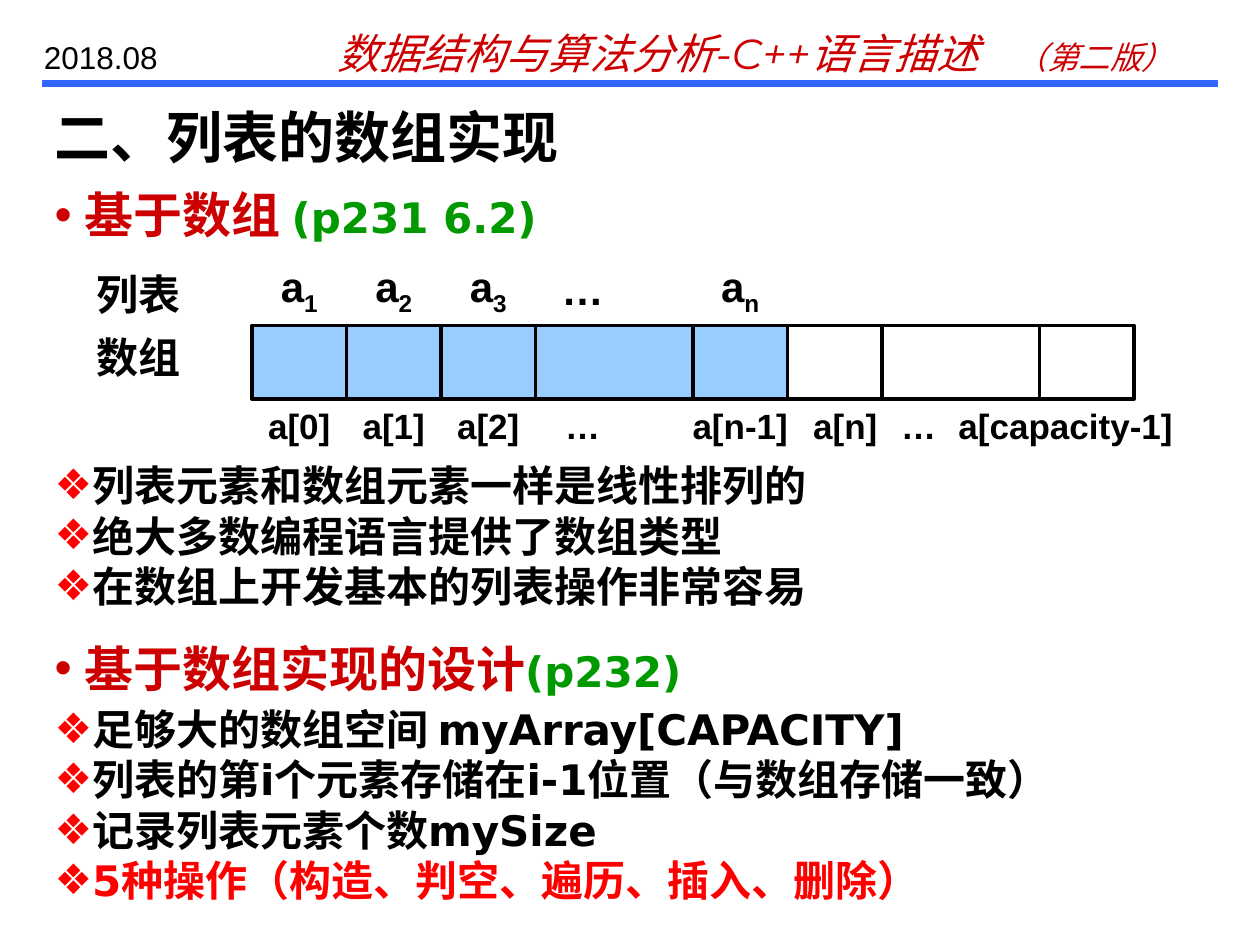
from itertools import accumulate

from lxml.etree import SubElement
from pptx import Presentation
from pptx.dml.color import RGBColor
from pptx.enum.shapes import MSO_CONNECTOR, MSO_SHAPE
from pptx.enum.text import MSO_ANCHOR, MSO_AUTO_SIZE, PP_ALIGN
from pptx.oxml.ns import qn
from pptx.util import Inches, Pt

COLORS = {
    "rule": "3366FF", "heading": "CC0000", "page": "009900",
    "bullet": "FF0000", "text": "000000", "used": "99CCFF",
}
LIST_FONT = "DejaVu Sans"

# Array cells: label above (base, subscript), width in grid units, in use or not
CELLS = [
    (("a", "1"), 9, True), (("a", "2"), 9, True), (("a", "3"), 9, True),
    (("…", ""), 15, True), (("a", "n"), 9, True),
    (None, 9, False), (None, 15, False), (None, 9, False),
]
CELL_LEFT, CELL_TOP, CELL_HEIGHT, LABEL_WIDTH = 24, 31, 7, 9

# Index labels below the array: text, left edge and width in grid units
INDEXES = [("a[0]", 24, LABEL_WIDTH), ("a[1]", 33, LABEL_WIDTH),
           ("a[2]", 42, LABEL_WIDTH), ("…", 51, LABEL_WIDTH),
           ("a[n-1]", 64, 13), ("a[n]", 76, LABEL_WIDTH),
           ("…", 83, LABEL_WIDTH), ("a[capacity-1]", 89, 25)]


def grid(*units):
    """Lengths on a grid of twelve units to the inch."""
    return [Inches(unit / 12) for unit in units]


def color(name):
    return RGBColor.from_string(COLORS[name])


def add_run(paragraph, text, size, color_name="text", font="Arial", bold=True):
    run = paragraph.add_run()
    run.text = text
    run.font.size = Pt(size)
    run.font.name = font
    run.font.bold = bold
    run.font.color.rgb = color(color_name)
    return run


def add_text_box(slide, *box):
    frame = slide.shapes.add_textbox(*grid(*box)).text_frame
    frame.word_wrap = True
    return frame


def add_label(slide, left, top, width, text, size, subscript=""):
    """Centred label on one line."""
    frame = add_text_box(slide, left, top, width, CELL_HEIGHT)
    frame.vertical_anchor = MSO_ANCHOR.MIDDLE
    paragraph = frame.paragraphs[0]
    paragraph.alignment = PP_ALIGN.CENTER
    add_run(paragraph, text, size)
    if subscript:
        run = add_run(paragraph, subscript, size)
        run._r.get_or_add_rPr().set("baseline", "-25000")


def set_bullet(paragraph, character, color_name, indent):
    paragraph.space_before = Pt(0)
    properties = paragraph._p.get_or_add_pPr()
    properties.set("marL", str(Inches(indent)))
    properties.set("indent", str(-Inches(indent)))
    bullet_color = SubElement(properties, qn("a:buClr"))
    SubElement(bullet_color, qn("a:srgbClr")).set("val", COLORS[color_name])
    SubElement(properties, qn("a:buChar")).set("char", character)


def place(placeholder, *box):
    placeholder.left, placeholder.top, placeholder.width, placeholder.height = grid(*box)
    frame = placeholder.text_frame
    frame.auto_size = MSO_AUTO_SIZE.NONE
    return frame


def fill_heading(placeholder, top, text, page):
    frame = place(placeholder, 4, top, 113, 6.8)
    frame.vertical_anchor = MSO_ANCHOR.TOP
    paragraph = frame.paragraphs[0]
    set_bullet(paragraph, "•", "heading", 0.24)
    add_run(paragraph, text, 28, "heading", LIST_FONT)
    add_run(paragraph, page, 24, "page", LIST_FONT)


def fill_list(placeholder, top, height, items):
    frame = place(placeholder, 4, top, 113, height)
    frame.vertical_anchor = MSO_ANCHOR.TOP
    for number, (text, color_name) in enumerate(items):
        paragraph = frame.add_paragraph() if number else frame.paragraphs[0]
        set_bullet(paragraph, "❖", "bullet", 0.29)
        add_run(paragraph, text, 24, color_name, LIST_FONT)


def add_header(slide):
    line = slide.shapes.add_connector(MSO_CONNECTOR.STRAIGHT, *grid(4, 8, 116, 8))
    line.line.color.rgb = color("rule")
    line.line.width = Pt(4)
    SubElement(line._element.spPr, qn("a:effectLst"))

    # Book title, with the edition at a tab stop
    paragraph = add_text_box(slide, 31, 2, 84, 6).paragraphs[0]
    tabs = SubElement(paragraph._p.get_or_add_pPr(), qn("a:tabLst"))
    tab = SubElement(tabs, qn("a:tab"))
    tab.set("pos", str(Inches(5.38)))
    tab.set("algn", "l")
    for text, size in (("数据结构与算法分析-C++语言描述\t", 24), ("（第二版）", 18)):
        run = add_run(paragraph, text, size, "heading", "Montserrat", False)
        run.font.italic = True

    date = add_text_box(slide, 3, 3, 17, 4.8).paragraphs[0]
    add_run(date, "2018.08", 18, bold=False)


def add_array(slide):
    lefts = accumulate((width for _, width, _ in CELLS), initial=CELL_LEFT)
    for left, (label, width, used) in zip(lefts, CELLS):
        cell = slide.shapes.add_shape(
            MSO_SHAPE.RECTANGLE, *grid(left, CELL_TOP, width, CELL_HEIGHT))
        cell.shadow.inherit = False
        cell.line.color.rgb = color("text")
        cell.line.width = Pt(2)
        if used:
            cell.fill.solid()
            cell.fill.fore_color.rgb = color("used")
        else:
            cell.fill.background()
        if label:
            base, subscript = label
            add_label(slide, left, CELL_TOP - CELL_HEIGHT, LABEL_WIDTH,
                      base, 24, subscript)
    for text, left, width in INDEXES:
        add_label(slide, left, CELL_TOP + 6, width, text, 20)

    # Row names
    for text, top in (("列表", 25), ("数组", 31)):
        add_run(add_text_box(slide, 8, top, 13, 6).paragraphs[0], text, 24)


def main():
    presentation = Presentation()
    presentation.slide_width, presentation.slide_height = grid(120, 90)
    # The comparison layout has a title, two headings and two lists
    slide = presentation.slides.add_slide(presentation.slide_layouts[4])
    title, first_heading, first_list, second_heading, second_list = slide.placeholders

    add_header(slide)

    frame = place(title, 4, 9, 108, 8)
    frame.vertical_anchor = MSO_ANCHOR.MIDDLE
    frame.paragraphs[0].alignment = PP_ALIGN.LEFT
    add_run(frame.paragraphs[0], "二、列表的数组实现", 32)

    # Why an array
    fill_heading(first_heading, 17, "基于数组 ", "(p231 6.2)")
    add_array(slide)
    fill_list(first_list, 43.2, 15.6, [
        ("列表元素和数组元素一样是线性排列的", "text"),
        ("绝大多数编程语言提供了数组类型", "text"),
        ("在数组上开发基本的列表操作非常容易", "text"),
    ])

    # Design of the list
    fill_heading(second_heading, 60.2, "基于数组实现的设计", "(p232)")
    fill_list(second_list, 66.4, 20.4, [
        ("足够大的数组空间 myArray[CAPACITY]", "text"),
        ("列表的第i个元素存储在i-1位置（与数组存储一致）", "text"),
        ("记录列表元素个数mySize", "text"),
        ("5种操作（构造、判空、遍历、插入、删除）", "bullet"),
    ])
    presentation.save("out.pptx")


if __name__ == "__main__":
    main()
